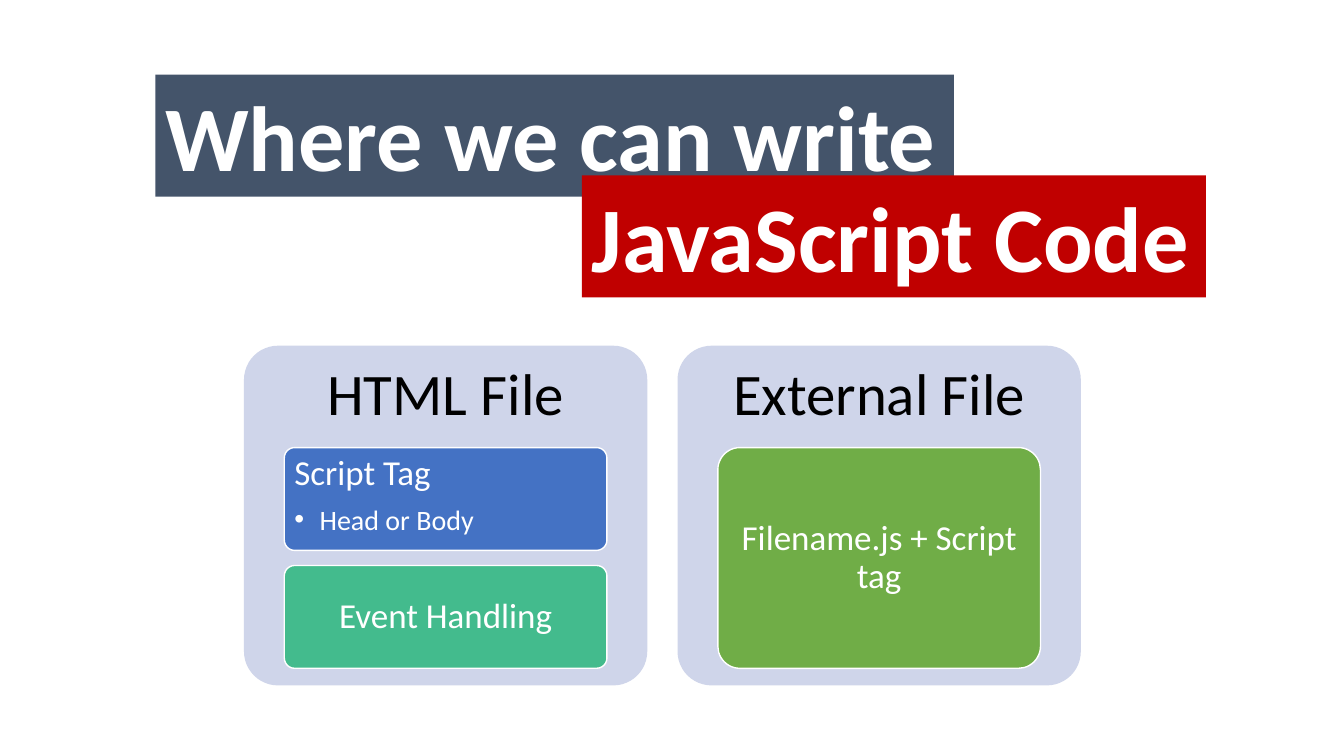
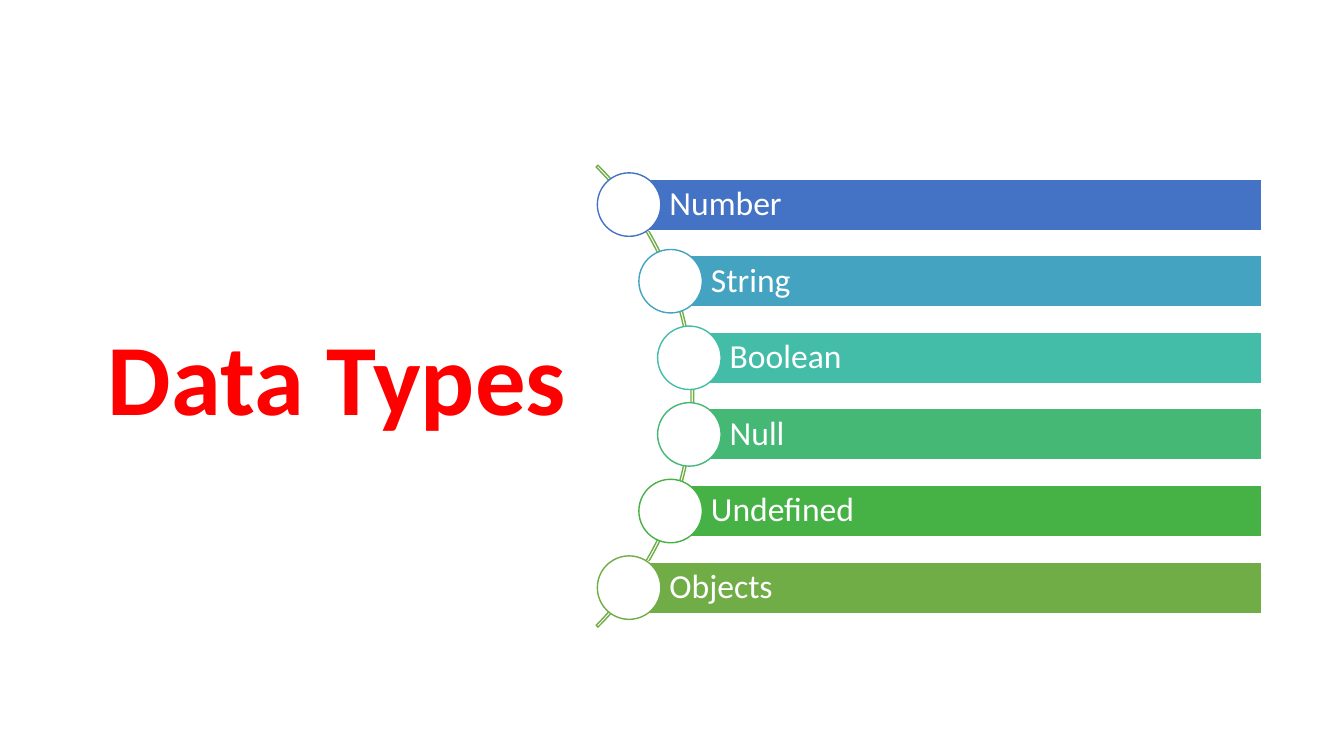
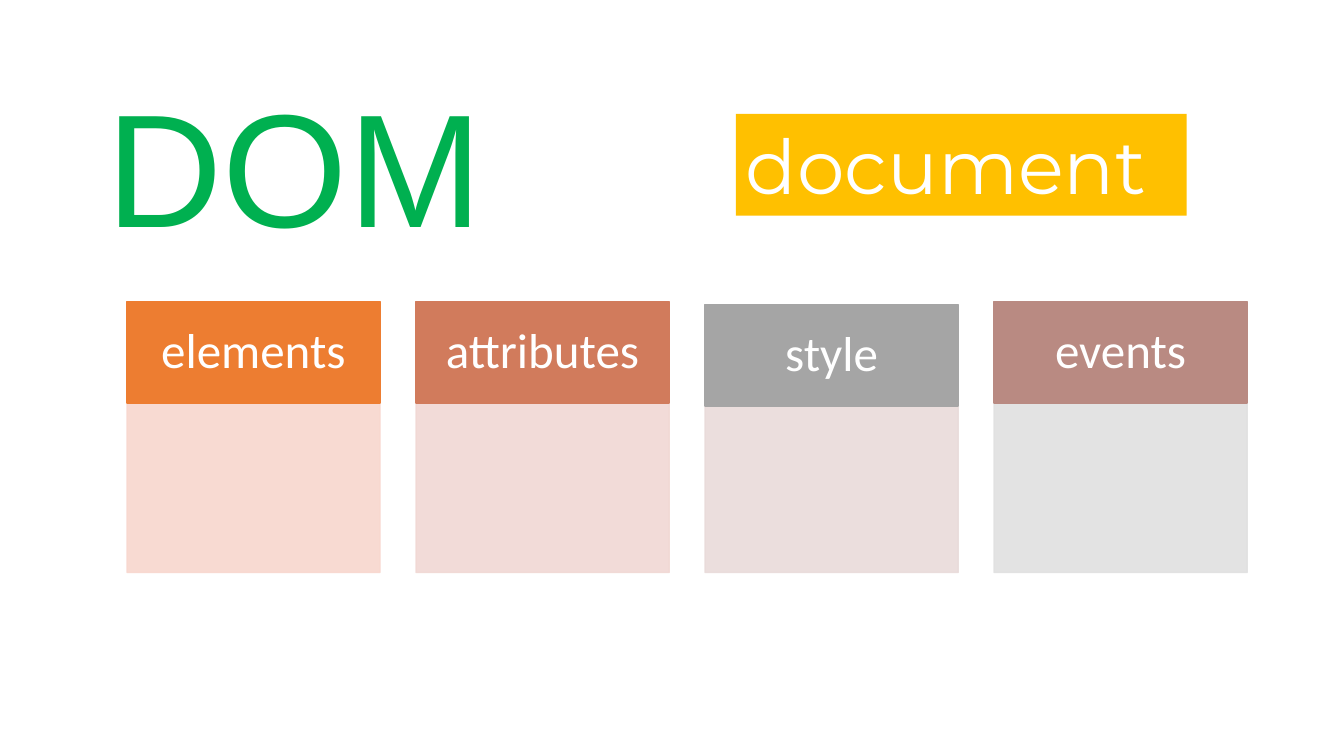
from math import sqrt

from pptx import Presentation
from pptx.dml.color import RGBColor
from pptx.enum.shapes import MSO_SHAPE as Shape
from pptx.enum.text import MSO_ANCHOR as Anchor, PP_ALIGN as Align
from pptx.oxml.ns import qn
from pptx.util import Inches, Pt

WHITE = RGBColor(0xFF, 0xFF, 0xFF)
BLACK = RGBColor(0x00, 0x00, 0x00)
SLATE = RGBColor(0x44, 0x54, 0x6A)
DARK_RED = RGBColor(0xC0, 0x00, 0x00)
RED = RGBColor(0xFF, 0x00, 0x00)
DOM_GREEN = RGBColor(0x00, 0xB0, 0x50)
AMBER = RGBColor(0xFF, 0xC0, 0x00)
LAVENDER = RGBColor(0xCF, 0xD5, 0xEA)
BLUE = RGBColor(0x44, 0x72, 0xC4)
SKY = RGBColor(0x44, 0xA3, 0xC0)
TEAL = RGBColor(0x43, 0xBD, 0xA7)
SEA_GREEN = RGBColor(0x43, 0xBB, 0x8D)
MINT = RGBColor(0x44, 0xB8, 0x74)
GRASS = RGBColor(0x46, 0xB2, 0x46)
GREEN = RGBColor(0x70, 0xAD, 0x47)
ORANGE = RGBColor(0xED, 0x7D, 0x31)
RUST = RGBColor(0xD1, 0x7B, 0x5C)
GRAY = RGBColor(0xA5, 0xA5, 0xA5)
ROSE = RGBColor(0xB9, 0x8A, 0x82)
PALE_ORANGE = RGBColor(0xF8, 0xD7, 0xCE)
PALE_RUST = RGBColor(0xF1, 0xD8, 0xD4)
PALE_ROSE = RGBColor(0xE9, 0xDB, 0xDA)
PALE_GRAY = RGBColor(0xE1, 0xE1, 0xE1)

BODY_FONT = "Calibri"
TITLE_INSETS = (0.1, 0.05, 0.1, 0.05)
CARD_INSETS = (0.07, 0.05, 0.07, 0.05)


def set_alpha(color_format_parent, percent):
    for color in color_format_parent.iter(qn("a:srgbClr")):
        alpha = color.makeelement(qn("a:alpha"), {"val": str(percent * 1000)})
        color.append(alpha)


def add_box(slide, kind, box, fill=None, line=None, adjustments=(), opacity=100):
    shape = slide.shapes.add_shape(kind, *map(Inches, box))
    shape.shadow.inherit = False
    for index, value in enumerate(adjustments):
        shape.adjustments[index] = value
    for target, color in ((shape.fill, fill), (shape.line.fill, line)):
        if color is None:
            target.background()
        else:
            target.solid()
            target.fore_color.rgb = color
    if line is not None:
        shape.line.width = Pt(1)
    if opacity < 100:
        set_alpha(shape._element.spPr, opacity)
    return shape


def set_frame(shape, insets, anchor):
    sides = ("margin_left", "margin_top", "margin_right", "margin_bottom")
    frame = shape.text_frame
    settings = dict(zip(sides, map(Inches, insets)))
    settings.update(word_wrap=True, vertical_anchor=anchor)
    for name, value in settings.items():
        setattr(frame, name, value)
    return frame


def write(paragraph, text, size, color=WHITE, font=BODY_FONT, bold=False,
          **paragraph_format):
    paragraph.add_run().text = text
    for name, value in paragraph_format.items():
        setattr(paragraph, name, value)
    run_format = {"name": font, "size": Pt(size), "bold": bold}
    for name, value in run_format.items():
        setattr(paragraph.font, name, value)
    paragraph.font.color.rgb = color


def add_label(shape, text, size, insets, color=WHITE, align=Align.CENTER):
    frame = set_frame(shape, insets, Anchor.MIDDLE)
    write(frame.paragraphs[0], text, size, color, alignment=align, line_spacing=0.9)


def add_title(slide, box, text, size, fill, color=WHITE, font=BODY_FONT, bold=False):
    title = add_box(slide, Shape.RECTANGLE, box, fill)
    frame = set_frame(title, TITLE_INSETS, Anchor.TOP)
    write(frame.paragraphs[0], text, size, color, font, bold, alignment=Align.LEFT)


def add_panel(slide, left, top, heading):
    width = 4
    add_box(slide, Shape.ROUNDED_RECTANGLE, (left, top, width, 3.37), LAVENDER,
            adjustments=[0.1])
    heading_box = slide.shapes.add_textbox(*map(Inches, (left, top, width, 1.01)))
    add_label(heading_box, heading, 42, [0.17] * 4, BLACK)


def add_card(slide, panel_left, top, height, fill):
    box = (panel_left + 0.4, top, 3.2, height)
    return add_box(slide, Shape.ROUNDED_RECTANGLE, box, fill, WHITE, [0.1])


def add_bullet(paragraph, indent):
    properties = paragraph._p.get_or_add_pPr()
    properties.set("marL", str(Inches(indent)))
    properties.set("indent", str(-Inches(indent)))
    for tag, attributes in (("a:buFont", {"typeface": "Arial"}),
                            ("a:buChar", {"char": "•"})):
        properties.append(properties.makeelement(qn(tag), attributes))


def add_script_tag_text(card):
    frame = set_frame(card, CARD_INSETS, Anchor.TOP)
    write(frame.paragraphs[0], "Script Tag", 25, alignment=Align.LEFT,
          line_spacing=0.9, space_after=Pt(9))
    place = frame.add_paragraph()
    add_bullet(place, 0.25)
    write(place, "Head or Body", 20, alignment=Align.LEFT, line_spacing=0.9)


def build_code_places(slide):
    add_title(slide, (1.54, 0.74, 7.92, 1.21), "Where we can write", 66, SLATE, bold=True)
    add_title(slide, (5.77, 1.74, 6.19, 1.21), "JavaScript Code", 66, DARK_RED, bold=True)

    html_left, external_left, panel_top = 2.42, 6.72, 3.43
    card_top = panel_top + 1.01
    add_panel(slide, html_left, panel_top, "HTML File")
    add_script_tag_text(add_card(slide, html_left, card_top, 1.02, BLUE))
    add_label(add_card(slide, html_left, card_top + 1.17, 1.02, SEA_GREEN),
              "Event Handling", 25, CARD_INSETS)

    add_panel(slide, external_left, panel_top, "External File")
    add_label(add_card(slide, external_left, card_top, 2.19, GREEN),
              "Filename.js + Script tag", 25, CARD_INSETS)


def add_curved_list(slide, center_x, center_y, right, entries):
    """Bars whose round markers follow an arc about the given centre."""
    arc_size, marker_radius, marker_size = 6.48, 3.22, 0.63
    bar_height, pitch = 0.51, 0.76
    arc_box = (center_x - arc_size / 2, center_y - arc_size / 2, arc_size, arc_size)
    add_box(slide, Shape.BLOCK_ARC, arc_box, line=GREEN, adjustments=[189, 27, 0.004])
    for index, (name, color) in enumerate(entries):
        offset = (index - (len(entries) - 1) / 2) * pitch
        x = center_x + sqrt(marker_radius ** 2 - offset ** 2)
        y = center_y + offset
        bar = add_box(slide, Shape.RECTANGLE,
                      (x, y - bar_height / 2, right - x, bar_height), color, WHITE)
        add_label(bar, name, 24, (0.4, 0.07, 0.07, 0.07), align=Align.LEFT)
        add_box(slide, Shape.OVAL,
                (x - marker_size / 2, y - marker_size / 2, marker_size, marker_size),
                WHITE, color)


def build_data_types(slide):
    add_title(slide, (0.97, 3.07, 4.79, 1.31), "Data Types", 72, WHITE, RED, bold=True)
    add_curved_list(slide, 3.64, 3.93, 12.51, [
        ("Number", BLUE), ("String", SKY), ("Boolean", TEAL),
        ("Null", MINT), ("Undefined", GRASS), ("Objects", GREEN)])


def add_column(slide, left, top, name, color, body_color, header_drop=0):
    width, header_height = 2.51, 1.01
    add_box(slide, Shape.RECTANGLE, (left, top + header_height, width, 1.68),
            body_color, body_color, opacity=90)
    header = add_box(slide, Shape.RECTANGLE,
                     (left, top + header_drop, width, header_height), color, color)
    add_label(header, name, 35, (0.27, 0.16, 0.27, 0.16))


def build_dom(slide):
    add_title(slide, (0.96, 0.61, 4.04, 2.04), "DOM", 115, WHITE, DOM_GREEN, "Arial")
    add_title(slide, (7.3, 1.13, 4.47, 1.01), "document", 54, AMBER, font="Montserrat")
    columns = [
        ("elements", ORANGE, PALE_ORANGE), ("attributes", RUST, PALE_RUST),
        ("style", GRAY, PALE_ROSE, 0.03), ("events", ROSE, PALE_GRAY)]
    first_left, last_left = 1.26, 9.86
    pitch = (last_left - first_left) / (len(columns) - 1)
    for index, column in enumerate(columns):
        add_column(slide, first_left + index * pitch, 2.99, *column)


def main():
    deck = Presentation()
    deck.slide_width, deck.slide_height = Inches(13.33), Inches(7.5)
    blank = deck.slide_layouts[6]
    for build in (build_code_places, build_data_types, build_dom):
        build(deck.slides.add_slide(blank))
    deck.save("out.pptx")


if __name__ == "__main__":
    main()
